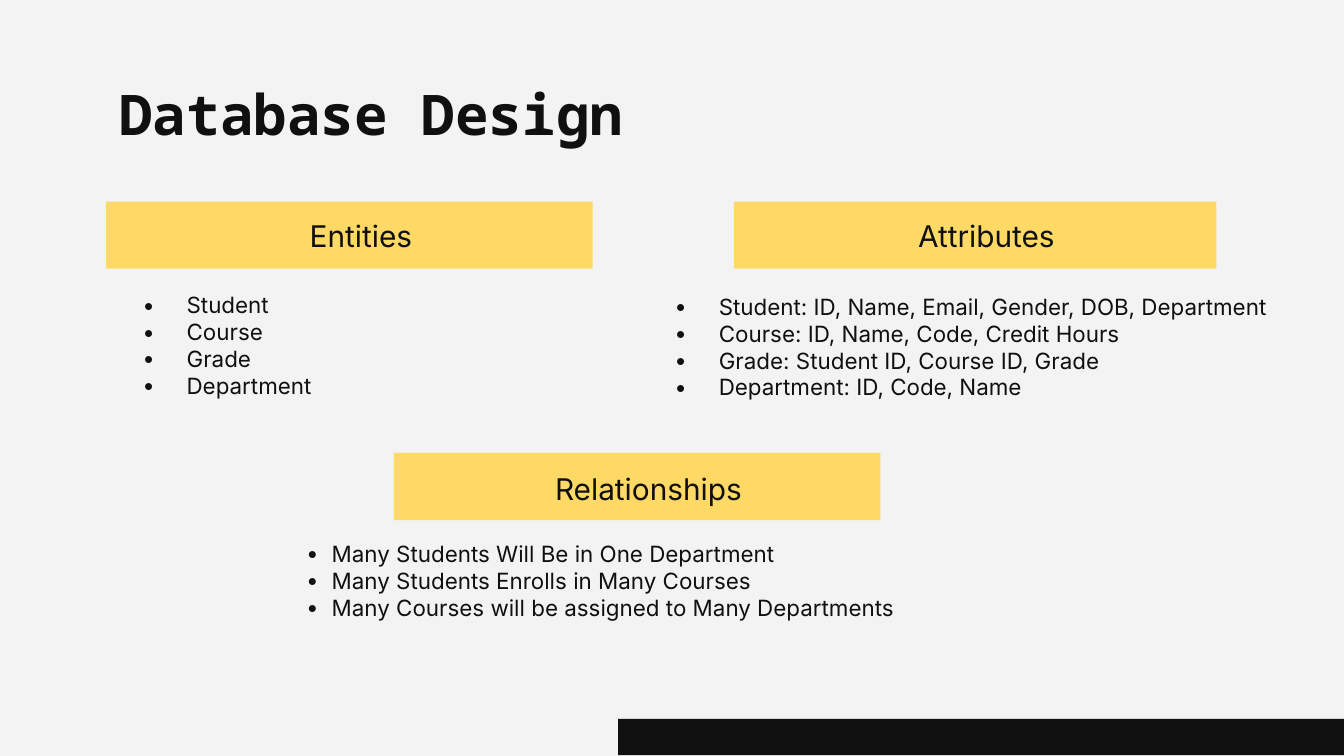
from lxml import etree
from pptx import Presentation
from pptx.dml.color import RGBColor
from pptx.enum import shapes, text
from pptx.oxml import ns
from pptx.util import Inches, Pt

INK, PAPER, YELLOW = "111010", "F3F3F3", "FFD966"
BODY_FONT, TITLE_FONT = "Inter", "Noto Sans Mono"
HEADER_HEIGHT = 0.5
HANGING = (0.5, -0.33)


def color(value):
    return RGBColor.from_string(value)


def paint(shape, value):
    shape.shadow.inherit = False
    shape.fill.solid()
    shape.fill.fore_color.rgb = color(value)
    shape.line.fill.background()


def indent(paragraph, margin, first_line):
    properties = paragraph._p.get_or_add_pPr()
    properties.set("marL", str(Inches(margin)))
    properties.set("indent", str(Inches(first_line)))
    return properties


def add_bullet(properties):
    bullet_color = etree.SubElement(properties, ns.qn("a:buClr"))
    etree.SubElement(bullet_color, ns.qn("a:srgbClr"), val=INK)
    etree.SubElement(properties, ns.qn("a:buFont"), typeface=BODY_FONT)
    etree.SubElement(properties, ns.qn("a:buChar"), char="•")


def write(shape, lines, size, font=BODY_FONT, bold=False, indents=None,
          bullets=False, align=text.PP_ALIGN.LEFT, anchor=text.MSO_ANCHOR.TOP):
    frame = shape.text_frame
    inset = Inches(0.1)
    frame_format = {
        "word_wrap": True, "vertical_anchor": anchor,
        "margin_left": inset, "margin_right": inset,
        "margin_top": inset, "margin_bottom": inset,
    }
    for name, value in frame_format.items():
        setattr(frame, name, value)
    frame.text = "\n".join(lines)
    for paragraph in frame.paragraphs:
        paragraph.alignment = align
        if indents:
            properties = indent(paragraph, *indents)
            if bullets:
                add_bullet(properties)
        run_font = paragraph.runs[0].font
        for name, value in {"name": font, "size": Pt(size), "bold": bold}.items():
            setattr(run_font, name, value)
        run_font.color.rgb = color(INK)


def add_rectangle(slide, box, fill):
    rectangle = slide.shapes.add_shape(
        shapes.MSO_SHAPE.RECTANGLE, *map(Inches, box))
    paint(rectangle, fill)
    return rectangle


def add_title(slide, box, title):
    write(slide.shapes.add_textbox(*map(Inches, box)), [title], 30,
          font=TITLE_FONT, bold=True)


def add_section(slide, box, heading, items, list_offset, list_size,
                list_indents=HANGING, anchor=text.MSO_ANCHOR.MIDDLE):
    """Place a heading bar at the top of the box and its list relative to it."""
    left, top, width = box
    header = add_rectangle(slide, (left, top, width, HEADER_HEIGHT), YELLOW)
    write(header, [heading], 16, indents=HANGING,
          align=text.PP_ALIGN.CENTER, anchor=anchor)

    # Bulleted list
    across, down = list_offset
    list_box = (left + across, top + down, *list_size)
    write(slide.shapes.add_textbox(*map(Inches, list_box)), items, 12,
          indents=list_indents, bullets=True)


def main():
    presentation = Presentation()
    # Widescreen, 16:9
    presentation.slide_width = Inches(10)
    presentation.slide_height = presentation.slide_width * 9 // 16
    slide = presentation.slides.add_slide(presentation.slide_layouts[6])
    slide.background.fill.solid()
    slide.background.fill.fore_color.rgb = color(PAPER)

    # Footer bar and title
    add_rectangle(slide, (4.6, 5.35, 5.4, 0.27), INK)
    add_title(slide, (0.79, 0.49, 8.43, 0.63), "Database Design")

    # Upper row
    add_section(slide, (0.79, 1.5, 3.62), "Entities",
                ["Student", "Course", "Grade", "Department"],
                (0, 0.57), (3.62, 1))
    add_section(slide, (5.46, 1.5, 3.59), "Attributes",
                ["Student: ID, Name, Email, Gender, DOB, Department",
                 "Course: ID, Name, Code, Credit Hours",
                 "Grade: Student ID, Course ID, Grade",
                 "Department: ID, Code, Name"],
                (-0.71, 0.58), (5.02, 1.13))

    # Lower row
    add_section(slide, (2.93, 3.37, 3.62), "Relationships",
                ["Many Students Will Be in One Department",
                 "Many Students Enrolls in Many Courses",
                 "Many Courses will be assigned to Many Departments"],
                (-0.91, 0.55), (6, 1.06), list_indents=(0.35, -0.19),
                anchor=text.MSO_ANCHOR.BOTTOM)

    presentation.save("out.pptx")


if __name__ == "__main__":
    main()
